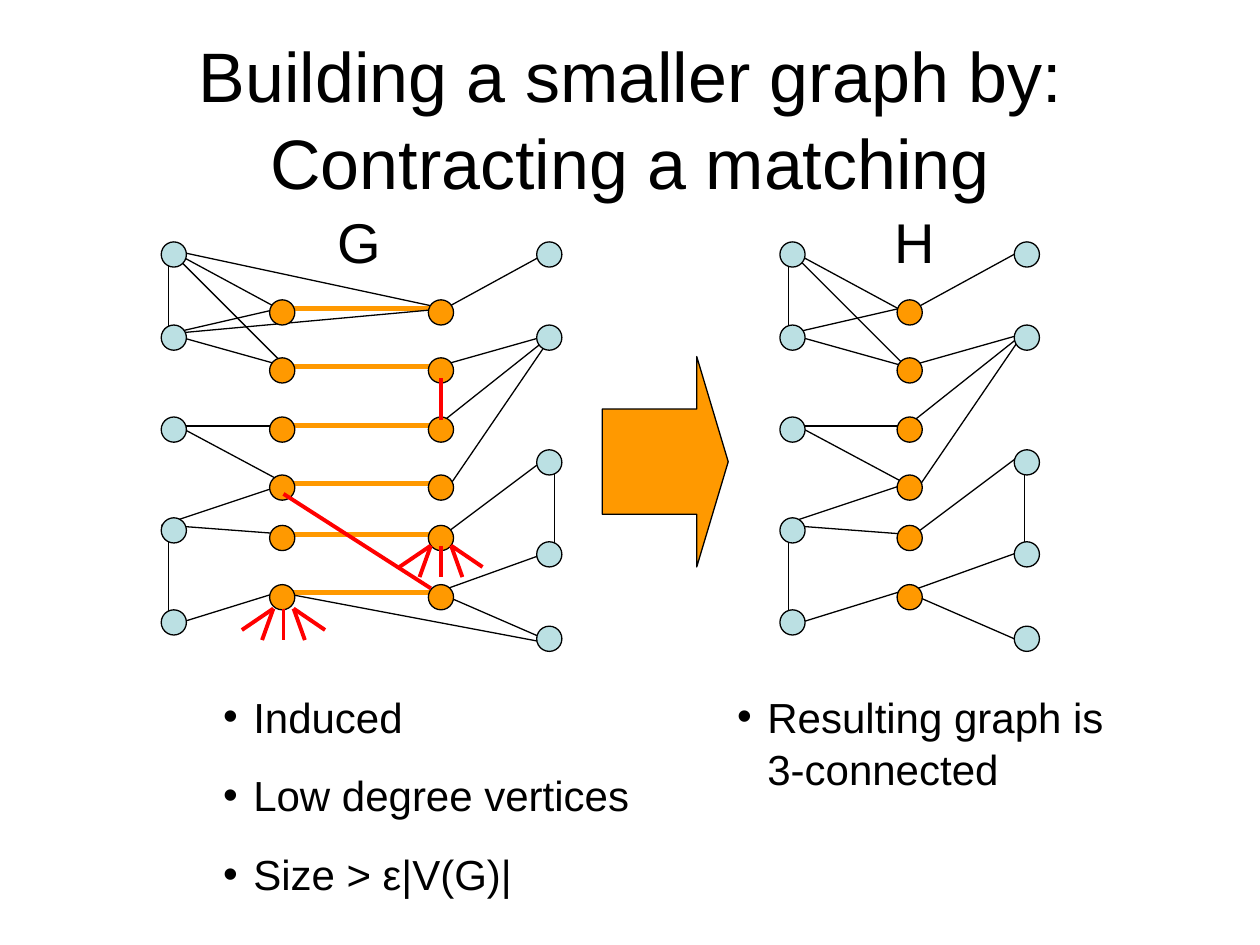
from lxml import etree
from pptx import Presentation
from pptx import util as u
from pptx.dml.color import RGBColor
from pptx.enum import shapes, text
from pptx.oxml import ns

COLORS = {"ink": "000000", "matching": "FF9900", "vertex": "BBE0E3", "excluded": "FF0000"}


def draw_line(parent, edge, color, width):
    line = parent.shapes.add_connector(
        shapes.MSO_CONNECTOR.STRAIGHT, *[u.Inches(value) for value in edge]
    )
    line.line.color.rgb = RGBColor.from_string(COLORS[color])
    line.line.width = u.Pt(width)
    etree.SubElement(line._element.spPr, ns.qn("a:effectLst"))


def format_paragraph(para, size):
    para.line_spacing = 1.04
    para.font.name = "Arial"
    para.font.size = u.Pt(size)
    para.font.color.rgb = RGBColor.from_string(COLORS["ink"])


deck = Presentation()
deck.slide_width, deck.slide_height = u.Inches(10), u.Inches(7.5)
page = deck.slides.add_slide(deck.slide_layouts[3])
title, conditions, result = list(page.placeholders)[:3]

title.left, title.top, title.width, title.height = [u.Inches(v) for v in (0.5, 0.3, 9, 1.25)]
title.text_frame.text = "Building a smaller graph by: Contracting a matching"
title.text_frame.auto_size = text.MSO_AUTO_SIZE.NONE
title.text_frame.vertical_anchor = text.MSO_ANCHOR.MIDDLE
title.text_frame.paragraphs[0].alignment = text.PP_ALIGN.CENTER
format_paragraph(title.text_frame.paragraphs[0], 40)

lists = [
    (conditions, (1.67, 5.42, 4.67, 1.72), ["Induced", "Low degree vertices", "Size > ε|V(G)|"]),
    (result, (5.75, 5.42, 3.17, 0.9), ["Resulting graph is 3-connected"]),
]
for body, position, items in lists:
    body.left, body.top, body.width, body.height = [u.Inches(v) for v in position]
    body.text_frame.text = "\n".join(items)
    body.text_frame.auto_size = text.MSO_AUTO_SIZE.NONE
    for index, para in enumerate(body.text_frame.paragraphs):
        properties = para._p.get_or_add_pPr()
        properties.set("marL", str(u.Inches(0.24)))
        properties.set("indent", str(u.Inches(-0.24)))
        bullet = etree.SubElement(properties, ns.qn("a:buChar"))
        bullet.set("char", "•")
        para.space_before = u.Pt(15 if index else 0)
        format_paragraph(para, 24)

arrow = page.shapes.add_shape(
    shapes.MSO_SHAPE.RIGHT_ARROW, u.Inches(4.78), u.Inches(2.83), u.Inches(1), u.Inches(1.67)
)
arrow.adjustments[0], arrow.adjustments[1] = 0.5, 0.25
outlined = [(arrow, "matching")]

left_edges = [
    (2.21, 4.7, 1.34, 4.97), (1.34, 4.17, 2.27, 4.24), (1.28, 4.17, 2.27, 3.84),
    (1.41, 3.38, 2.27, 3.84), (2.27, 3.38, 1.41, 3.38), (1.34, 1.98, 2.21, 2.45),
    (2.27, 2.91, 1.34, 1.98), (2.27, 2.91, 1.34, 2.65), (1.34, 1.98, 1.34, 2.65),
    (2.21, 2.45, 1.34, 2.65), (1.34, 4.17, 1.34, 4.9),
]
right_edges = [
    (3.47, 4.7, 4.39, 5.1), (3.53, 2.45, 4.39, 1.98), (3.47, 3.38, 4.39, 2.65),
    (3.53, 4.24, 4.33, 3.64), (3.47, 2.91, 4.39, 2.65), (3.47, 4.7, 4.39, 4.37),
    (3.53, 3.91, 4.39, 2.65), (4.4, 3.64, 4.4, 4.44),
]
crossing_edges = [(2.21, 4.7, 4.33, 5.1), (3.53, 2.45, 1.34, 2.65), (3.53, 2.45, 1.34, 1.98)]
matching_edges = [(2.27, y, 3.53, y) for y in (2.45, 2.91, 3.38, 3.84, 4.24, 4.7)]
left_rows = [1.92, 2.58, 3.31, 4.11, 4.84]
middle_rows = [2.38, 2.84, 3.31, 3.77, 4.17, 4.64]
right_rows = [1.92, 2.58, 3.57, 4.3, 4.97]

graphs = [
    ("G", 2.58, 0, 0, matching_edges, crossing_edges, 1.28, [2.14, 3.4], 4.26),
    ("H", 7, 4.92, 3.73, [], [], 6.19, [7.12], 8.05),
]
for name, name_x, left_shift, right_shift, matched, crossing, left_x, middle_xs, right_x in graphs:
    graph = page.shapes.add_group_shape()
    for edge in matched:
        draw_line(graph, edge, "matching", 3)
    for edges, shift in [(left_edges, left_shift), (right_edges, right_shift), (crossing, 0)]:
        for x1, y1, x2, y2 in edges:
            draw_line(graph, (x1 + shift, y1, x2 + shift, y2), "ink", 0.75)
    columns = [(left_x, left_rows, "vertex"), (right_x, right_rows, "vertex")]
    columns += [(x, middle_rows, "matching") for x in middle_xs]
    for x, rows, color in columns:
        for y in rows:
            node = graph.shapes.add_shape(
                shapes.MSO_SHAPE.OVAL, u.Inches(x), u.Inches(y), u.Inches(0.2), u.Inches(0.2)
            )
            outlined.append((node, color))
    box = page.shapes.add_textbox(u.Inches(name_x), u.Inches(1.58), u.Inches(0.58), u.Inches(0.64))
    box.text_frame.word_wrap = True
    box.text_frame.text = name
    format_paragraph(box.text_frame.paragraphs[0], 32)

for shape, color in outlined:
    shape.shadow.inherit = False
    shape.fill.solid()
    shape.fill.fore_color.rgb = RGBColor.from_string(COLORS[color])
    shape.line.color.rgb = RGBColor.from_string(COLORS["ink"])
    shape.line.width = u.Pt(0.75)

for edge in [(2.25, 3.92, 3.42, 4.67), (3.5, 3, 3.5, 3.33)]:
    draw_line(page, edge, "excluded", 2.25)

rays = [(-0.08, -0.33, 0.17), (-0.08, -0.17, 0.25), (0, 0, 0.25), (0.08, 0.17, 0.25), (0.08, 0.33, 0.17)]
for x, y in [(2.25, 4.83), (3.5, 4.33)]:
    burst = page.shapes.add_group_shape()
    for start, end, drop in rays:
        draw_line(burst, (x + start, y, x + end, y + drop), "excluded", 2.25)

deck.save("out.pptx")
